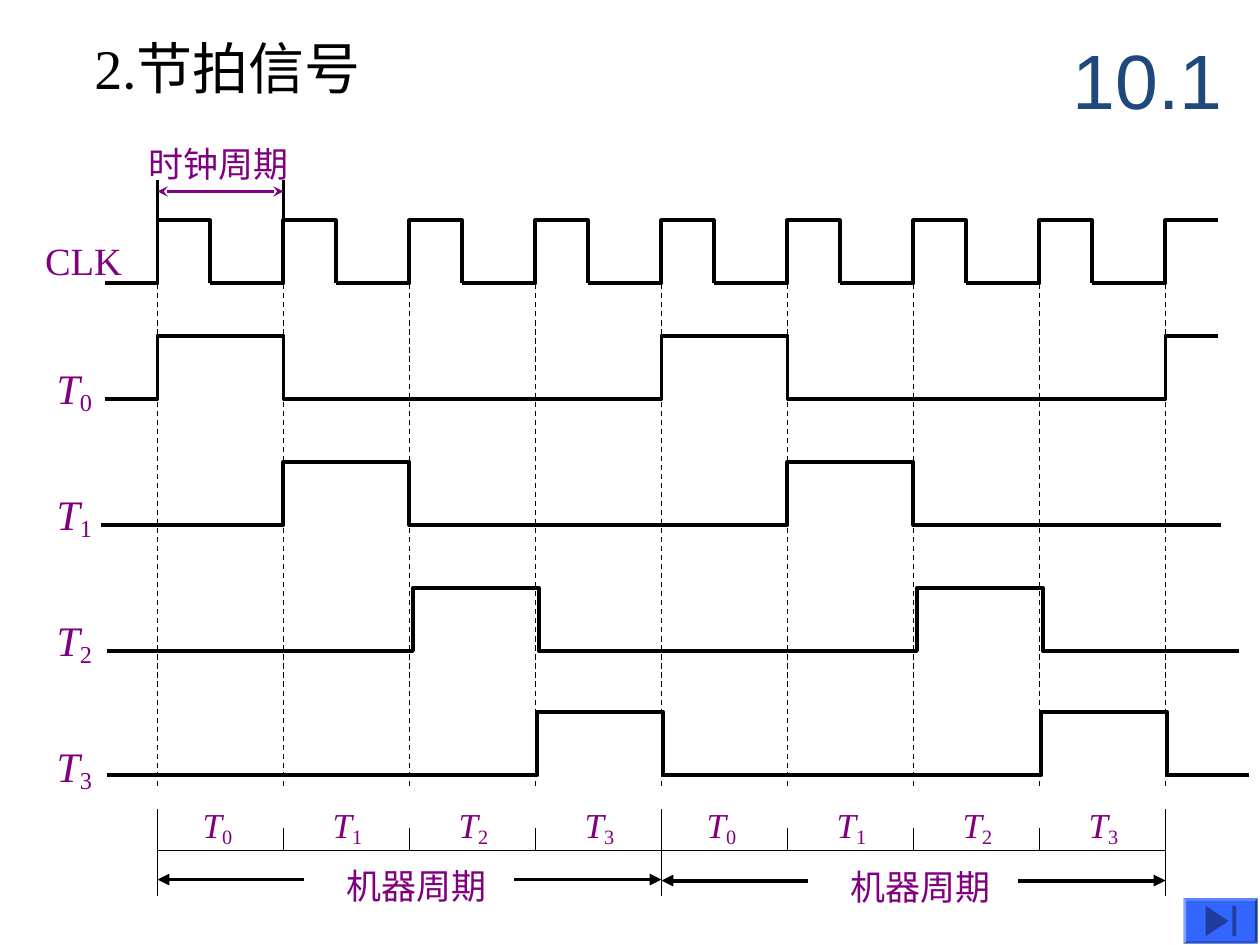
"""Build the beat signal timing diagram slide."""
import lxml.etree
import pptx
import pptx.dml.color
import pptx.enum.dml
import pptx.enum.shapes
import pptx.enum.text
import pptx.oxml.ns
import pptx.util

Pt = pptx.util.Pt
BLACK = pptx.dml.color.RGBColor(0x00, 0x00, 0x00)
PURPLE = pptx.dml.color.RGBColor(0x80, 0x00, 0x80)
NAVY = pptx.dml.color.RGBColor(0x1F, 0x49, 0x7D)
BUTTON_BLUE = pptx.dml.color.RGBColor(0x33, 0x66, 0xFF)
ICON_BLUE = pptx.dml.color.RGBColor(0x1F, 0x3D, 0x99)
SERIF = "Times New Roman"
FIRST_EDGE = 90
CYCLE = 72
PULSE_HEIGHT = 36
EDGES = [FIRST_EDGE + CYCLE * i for i in range(9)]

deck = pptx.Presentation()
deck.slide_width, deck.slide_height = Pt(720), Pt(540)
page = deck.slides.add_slide(deck.slide_layouts[6])


def add_line(start, end, width, color=BLACK, dash=None, head=None, tail=None):
    line = page.shapes.add_connector(
        pptx.enum.shapes.MSO_CONNECTOR.STRAIGHT, *map(Pt, start + end))
    line.line.width = Pt(width)
    line.line.color.rgb = color
    if dash:
        line.line.dash_style = dash
    outline = line.line._get_or_add_ln()
    for tag, kind in (("a:headEnd", head), ("a:tailEnd", tail)):
        if kind:
            lxml.etree.SubElement(outline, pptx.oxml.ns.qn(tag), type=kind)
    lxml.etree.SubElement(line._element.spPr, pptx.oxml.ns.qn("a:effectLst"))


def add_text(left, top, width, height, runs, size, color=PURPLE, wrap=False):
    box = page.shapes.add_textbox(*map(Pt, (left, top, width, height)))
    box.text_frame.word_wrap = wrap
    para = box.text_frame.paragraphs[0]
    for words, font, style in runs:
        span = para.add_run()
        span.text = words
        span.font.name = font
        span.font.size = Pt(size)
        span.font.color.rgb = color
        span.font.italic = style == "italic"
        if style == "subscript":
            span._r.get_or_add_rPr().set("baseline", "-15000")
    return box


add_text(46.8, 15.8, 283, 46, [("2", SERIF, None), (".节拍信号", "Calibri", None)],
         32, BLACK, wrap=True)
section = add_text(606, 12, 114, 66, [("10.1", "Arial", None)], 44, NAVY, wrap=True)
section.text_frame.vertical_anchor = pptx.enum.text.MSO_ANCHOR.MIDDLE

waves = []
for edge in EDGES:
    wave = [(max(edge - 42, 60), 162), (edge, 162), (edge, 126), (edge + 30, 126)]
    if edge != EDGES[-1]:
        wave.append((edge + 30, 162))
    waves.append(wave)

beat_rows = [(60, 228, 0, 696), (57.6, 300, 0, 698), (61.2, 372, 2, 708),
             (61.2, 443, 1, 714)]
for beat, (left, low, shift, right) in enumerate(beat_rows):
    high = low - PULSE_HEIGHT
    wave = [(left, low)]
    for edge in EDGES[beat::4]:
        rise = edge + shift
        wave += [(rise, low), (rise, high)]
        if edge != EDGES[-1]:
            wave += [(rise + CYCLE, high), (rise + CYCLE, low)]
    wave.append((right, wave[-1][1]))
    waves.append(wave)

for wave in waves:
    points = [(Pt(x), Pt(y)) for x, y in wave]
    builder = page.shapes.build_freeform(*points[0])
    builder.add_line_segments(points[1:], close=False)
    signal = builder.convert_to_shape()
    signal.shadow.inherit = False
    signal.fill.background()
    signal.line.color.rgb = BLACK
    signal.line.width = Pt(2.25)

add_text(18.7, 131.8, 58.3, 33.8, [("CLK", SERIF, None)], 22)
for beat in range(4):
    add_text(25.2, 203.8 + 72 * beat, 34.6, 37.4,
             [("T", SERIF, "italic"), (str(beat), SERIF, "subscript")], 24)

for edge in EDGES:
    add_line((edge, 141.8), (edge, 450), 0.75, dash=pptx.enum.dml.MSO_LINE.DASH)

for edge in EDGES[:2]:
    add_line((edge, 103), (edge, 127.4), 1.5)
add_line((EDGES[0], 109.4), (EDGES[1], 109.4), 1.5, PURPLE,
         head="stealth", tail="stealth")
add_text(77.8, 77.8, 94.3, 31.7, [("时钟周期", SERIF, None)], 20)

add_line((EDGES[0], 486), (EDGES[-1], 486), 0.75)
for index, edge in enumerate(EDGES):
    top, bottom = (473, 486) if index % 4 else (462.2, 512)
    add_line((edge, top), (edge, bottom), 0.75)
for index, edge in enumerate(EDGES[:-1]):
    beat = index % 4
    add_text(edge + (21 if beat else 18.7), 455.8, 40, 32.4,
             [("T", SERIF, "italic"), (str(beat), SERIF, "subscript")], 20, wrap=True)

for start, end, level in ((EDGES[0], EDGES[4], 502.6), (EDGES[4], EDGES[8], 503.2)):
    add_line((end - 84, level), (end, level), 2.25, tail="triangle")
    add_line((start + 84, level), (start, level), 2.25, tail="triangle")
    add_text(start + 100.8, level - 12.2, 94.3, 31.7, [("机器周期", SERIF, None)], 20)

button = page.shapes.add_shape(
    pptx.enum.shapes.MSO_SHAPE.BEVEL, Pt(676.3), Pt(513.2), Pt(42.4), Pt(26))
button.adjustments[0] = 0.06
builder = page.shapes.build_freeform(Pt(702), Pt(526.3))
builder.add_line_segments([(Pt(689), Pt(535)), (Pt(689), Pt(517.6))])
arrow = builder.convert_to_shape()
bar = page.shapes.add_shape(
    pptx.enum.shapes.MSO_SHAPE.RECTANGLE, Pt(704.2), Pt(517.6), Pt(2.2), Pt(17.4))
for shape, color in ((button, BUTTON_BLUE), (arrow, ICON_BLUE), (bar, ICON_BLUE)):
    shape.shadow.inherit = False
    shape.fill.solid()
    shape.fill.fore_color.rgb = color
    shape.line.fill.background()

deck.save("out.pptx")
